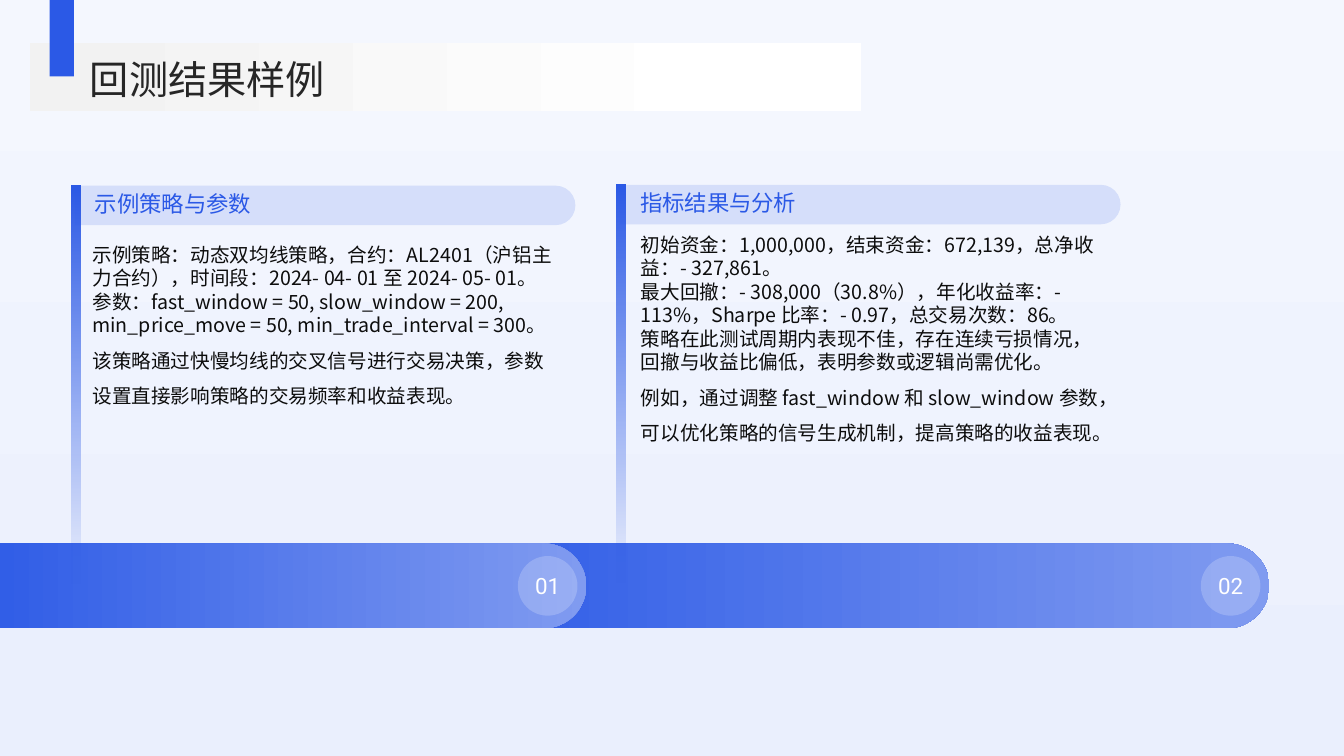
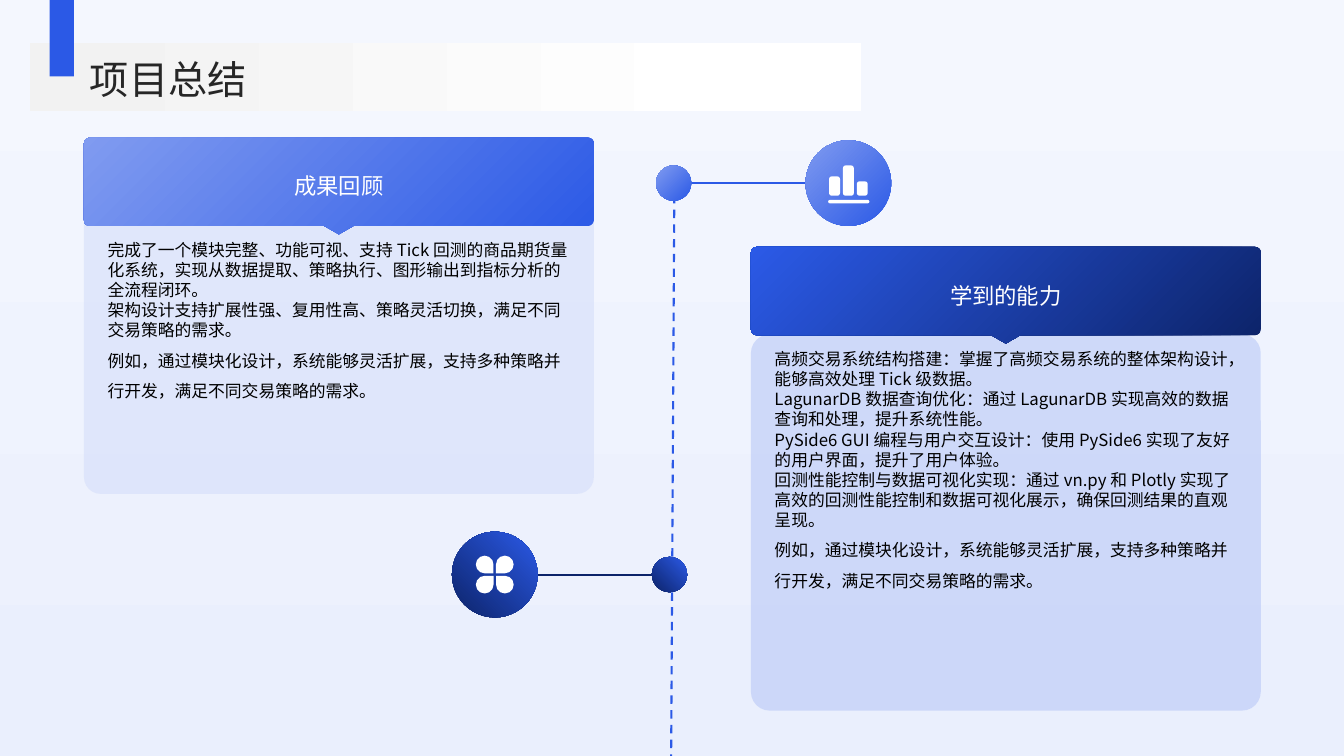
from dataclasses import dataclass
from math import cos, pi, sin

from pptx import Presentation
from pptx.dml.color import RGBColor
from pptx.enum.dml import MSO_LINE
from pptx.enum.shapes import MSO_CONNECTOR, MSO_SHAPE
from pptx.enum.text import MSO_ANCHOR, MSO_AUTO_SIZE, PP_ALIGN
from pptx.oxml.ns import qn
from pptx.oxml.xmlchemy import OxmlElement
from pptx.util import Emu, Pt

COLUMNS, ROWS = 160, 90
CELL = 76200
RECTANGLE, ROUNDED, OVAL = MSO_SHAPE.RECTANGLE, MSO_SHAPE.ROUNDED_RECTANGLE, MSO_SHAPE.OVAL
PILL, PETAL = MSO_SHAPE.ROUND_2_SAME_RECTANGLE, MSO_SHAPE.TEAR
STRAIGHT, DASH = MSO_CONNECTOR.STRAIGHT, MSO_LINE.DASH
LEFT, CENTER = PP_ALIGN.LEFT, PP_ALIGN.CENTER
TOP, MIDDLE = MSO_ANCHOR.TOP, MSO_ANCHOR.MIDDLE
NO_AUTOFIT = MSO_AUTO_SIZE.NONE
TITLE_ONLY = 5


@dataclass(frozen=True)
class Paint:
    """A solid colour, or a two-stop gradient when a last colour is given."""

    first: str
    last: str = ""
    angle: int = 0
    alphas: tuple = (100, 100)
    positions: tuple = (0, 1)

    def apply(self, fill):
        """Put the colours on a fill."""
        if not self.last:
            fill.solid()
            fill.fore_color.rgb = RGBColor.from_string(self.first)
            return
        fill.gradient()
        fill.gradient_angle = (360 - self.angle) % 360
        for stop, color, position in zip(fill.gradient_stops, (self.first, self.last), self.positions):
            stop.color.rgb = RGBColor.from_string(color)
            stop.position = position


@dataclass(frozen=True)
class TextStyle:
    """Type size, colour and setting of a text."""

    size: int
    color: str
    align: int = LEFT
    anchor: int = TOP
    spacing: float = 1.0
    font: str = "Noto Sans CJK SC"


class Theme:
    """Colours and type styles of the deck."""

    blue, navy, white = "2B59E6", "0C2369", "FFFFFF"
    background = Paint("EAEFFD", "F4F7FE", 270)
    accent = Paint(blue)
    icon = Paint(white)
    title_band = Paint("F2F2F2", "FFFFFF", positions=(0.05, 0.84))
    bar = Paint(blue, "809BF0")
    badge = Paint(white, alphas=(20,))
    pill = Paint("D5DEFA")
    stripe = Paint(blue, blue, 90, (100, 0))
    bright, bright_panel = Paint(blue, "809BF0", 225), Paint("D5DEFA", alphas=(60,))
    dark, dark_panel = Paint(navy, "2B5AE7", 225), Paint("B8C8F7", alphas=(60,))
    dark_node = Paint(navy, "2B5AE7", 315)
    title = TextStyle(28, "262626", anchor=MIDDLE, spacing=1.1)
    heading = TextStyle(16, blue)
    number = TextStyle(16, white, CENTER, MIDDLE, font="Roboto")
    card_heading = TextStyle(16, white, CENTER, MIDDLE, 1.3)
    body = TextStyle(14, "0D0D0D")
    card_body = TextStyle(12, "000000")
    closing_spacing = 1.5
    line_width = 1.5


def cells(*values):
    """Turn grid cells into lengths."""
    return [Emu(round(value * CELL)) for value in values]


class Deck:
    """Holds the presentation, its theme and the current slide."""

    def __init__(self, theme):
        self.theme = theme
        self.presentation = Presentation()
        self.presentation.slide_width, self.presentation.slide_height = cells(COLUMNS, ROWS)
        theme.background.apply(self.presentation.slide_master.background.fill)
        self.slide = None

    def add_slide(self, title):
        """Start a slide with the title band, the tab and the title."""
        self.slide = self.presentation.slides.add_slide(self.presentation.slide_layouts[TITLE_ONLY])
        self.shape(RECTANGLE, (3.6, 5.1, 98.9, 8.1), self.theme.title_band)
        self.shape(RECTANGLE, (5.9, 0, 2.9, 9.1), self.theme.accent)
        placeholder = self.slide.shapes.title
        placeholder.left, placeholder.top, placeholder.width, placeholder.height = cells(10.7, 6.1, 140.4, 6.1)
        self.set_text(placeholder, [title], self.theme.title)
        placeholder.element.getparent().append(placeholder.element)

    def finish(self, shape, paint):
        """Give a shape its fill, without line or shadow."""
        shape.shadow.inherit = False
        shape.line.fill.background()
        paint.apply(shape.fill)
        for color, alpha in zip(shape.element.xpath("./p:spPr//a:srgbClr"), paint.alphas):
            if alpha < 100:
                transparency = OxmlElement("a:alpha")
                transparency.set("val", str(alpha * 1000))
                color.append(transparency)
        return shape

    def shape(self, kind, box, paint, adjustments=(), rotation=0, group=None):
        """Add a preset shape, to a group if one is given."""
        shape = (group or self.slide).shapes.add_shape(kind, *cells(*box))
        for index, value in enumerate(adjustments):
            shape.adjustments[index] = value
        shape.rotation = rotation
        return self.finish(shape, paint)

    def circle(self, center, diameter, paint):
        """Add a circle around a centre."""
        x, y = center
        return self.shape(OVAL, (x - diameter / 2, y - diameter / 2, diameter, diameter), paint)

    def line(self, start, end, color, dash=None):
        """Add a straight line."""
        connector = self.slide.shapes.add_connector(STRAIGHT, *cells(*start, *end))
        connector.line.color.rgb = RGBColor.from_string(color)
        connector.line.width = Pt(self.theme.line_width)
        if dash:
            connector.line.dash_style = dash
        connector.element.find(qn("p:spPr")).append(OxmlElement("a:effectLst"))

    def set_text(self, shape, texts, style, closing_spacing=None):
        """Put paragraphs into a shape; the last one may be set wider."""
        frame = shape.text_frame
        frame.word_wrap = True
        frame.auto_size = NO_AUTOFIT
        frame.vertical_anchor = style.anchor
        frame.margin_left = frame.margin_top = frame.margin_right = frame.margin_bottom = 0
        for index, text in enumerate(texts):
            paragraph = frame.paragraphs[0] if index == 0 else frame.add_paragraph()
            paragraph.alignment = style.align
            paragraph.line_spacing = style.spacing
            run = paragraph.add_run()
            run.text = text
            run.font.size = Pt(style.size)
            run.font.name = style.font
            run.font.color.rgb = RGBColor.from_string(style.color)
        if closing_spacing:
            paragraph.line_spacing = closing_spacing
        for latin in shape.element.xpath(".//a:rPr/a:latin"):
            east_asian = OxmlElement("a:ea")
            east_asian.set("typeface", style.font)
            latin.addnext(east_asian)

    def text(self, box, texts, style, closing_spacing=None):
        """Add a text box."""
        self.set_text(self.slide.shapes.add_textbox(*cells(*box)), texts, style, closing_spacing)

    def timeline_bar(self, left, right, number):
        """Add a round-ended bar with a numbered badge at its end."""
        top, height = 64.7, 10.1
        self.shape(ROUNDED, (left, top, right - left, height), self.theme.bar, [0.5])
        badge = self.circle((right - 4.6, top + height / 2), 7.1, self.theme.badge)
        self.set_text(badge, [number], self.theme.number)

    def section(self, left, top, heading, body_at, texts):
        """Add a striped section with a pill heading and body text."""
        width, height = 59.6, 4.7
        pill_left = left + 0.4 + (width - height) / 2
        pill_top = top - (width - height) / 2
        self.shape(PILL, (pill_left, pill_top, height, width), self.theme.pill, [0.5, 0], 90)
        self.shape(RECTANGLE, (left, top, 1.1, 47.5), self.theme.stripe)
        self.text((left + 2.8, top + 0.5, 55.8, 3.6), [heading], self.theme.heading)
        self.text((*body_at, 55.8, 34.9), texts, self.theme.body, self.theme.closing_spacing)

    def pointed_header(self, left, top, width, paint):
        """Add a rounded header with a small pointer below."""
        height, radius, tip, half_tip = 10.5, 0.7, 1, 1.75
        right, bottom, middle = left + width, top + height, left + width / 2
        corners = [(right - radius, top + radius), (right - radius, bottom - radius),
                   (left + radius, bottom - radius), (left + radius, top + radius)]
        points = []
        for corner, (x, y) in enumerate(corners):
            angles = [(corner - 1 + step / 6) * pi / 2 for step in range(7)]
            points += [(x + radius * cos(angle), y + radius * sin(angle)) for angle in angles]
            if corner == 1:
                points += [(middle + half_tip, bottom), (middle, bottom + tip), (middle - half_tip, bottom)]
        start, *others = [cells(*point) for point in points]
        builder = self.slide.shapes.build_freeform(*start)
        builder.add_line_segments(others, close=True)
        self.finish(builder.convert_to_shape(), paint)

    def card(self, left, top, panel_top, bottom, paints, heading, texts):
        """Add a panel with a pointed header and body text."""
        width, inset = 60.7, 2.8
        header_paint, panel_paint = paints
        self.shape(ROUNDED, (left, panel_top, width, bottom - panel_top), panel_paint, [0.05])
        self.pointed_header(left, top, width, header_paint)
        text_left, text_width = left + inset, width - 2 * inset
        self.text((text_left, top + 1.1, text_width, 8.3), [heading], self.theme.card_heading)
        self.text((text_left, top + 12.1, text_width, bottom - top - 12.1), texts,
                  self.theme.card_body, self.theme.closing_spacing)

    def node(self, dot, disc, color, paint):
        """Join a dot on the axis to a large disc."""
        self.line(dot, disc, color)
        self.circle(dot, 4.2, paint)
        self.circle(disc, 10.2, paint)

    def chart_icon(self, center):
        """Add three columns on a base line."""
        x, y = center
        group = self.slide.shapes.add_group_shape()
        self.shape(ROUNDED, (x - 2.4, y + 2, 4.9, 0.4), self.theme.icon, [0.5], group=group)
        for index, height in enumerate((2.3, 3.6, 1.7)):
            box = (x - 2.3 + index * 1.65, y + 1.5 - height, 1.3, height)
            self.shape(ROUNDED, box, self.theme.icon, [0.25], group=group)

    def petal_icon(self, center):
        """Add four petals that point to the centre."""
        x, y = center
        size, offset = 2.1, 1.2
        group = self.slide.shapes.add_group_shape()
        for index, (across, down) in enumerate([(-1, 1), (-1, -1), (1, -1), (1, 1)]):
            box = (x + across * offset - size / 2, y + down * offset - size / 2, size, size)
            self.shape(PETAL, box, self.theme.icon, rotation=index * 90, group=group)


def add_results(deck):
    """Build the slide with the back-test results."""
    deck.add_slide("回测结果样例")
    deck.timeline_bar(51.6, 151.1, "02")
    deck.timeline_bar(-5.3, 69.8, "01")
    deck.section(8.5, 22.1, "示例策略与参数", (11, 28.9), [
        "示例策略：动态双均线策略，合约：AL2401（沪铝主力合约），时间段：2024- 04- 01 至 2024- 05- 01。",
        "参数：fast_window = 50, slow_window = 200, min_price_move = 50, min_trade_interval = 300。",
        "该策略通过快慢均线的交叉信号进行交易决策，参数设置直接影响策略的交易频率和收益表现。",
    ])
    deck.section(73.4, 22, "指标结果与分析", (76.3, 27.7), [
        "初始资金：1,000,000，结束资金：672,139，总净收益：- 327,861。",
        "最大回撤：- 308,000（30.8%），年化收益率：- 113%，Sharpe 比率：- 0.97，总交易次数：86。",
        "策略在此测试周期内表现不佳，存在连续亏损情况，回撤与收益比偏低，表明参数或逻辑尚需优化。",
        "例如，通过调整 fast_window 和 slow_window 参数，可以优化策略的信号生成机制，提高策略的收益表现。",
    ])


def add_summary(deck):
    """Build the slide with the project summary."""
    theme = deck.theme
    chart_center, petal_center = (101, 21.8), (58.9, 68.4)
    closing = "例如，通过模块化设计，系统能够灵活扩展，支持多种策略并行开发，满足不同交易策略的需求。"
    deck.add_slide("项目总结")
    deck.line((80.3, 19.7), (79.9, ROWS), theme.blue, DASH)
    deck.node((80.2, 21.8), chart_center, theme.blue, theme.bright)
    deck.chart_icon(chart_center)
    deck.node((79.7, 68.4), petal_center, theme.navy, theme.dark_node)
    deck.petal_icon(petal_center)
    deck.card(10, 16.4, 19, 58.8, (theme.bright, theme.bright_panel), "成果回顾", [
        "完成了一个模块完整、功能可视、支持 Tick 回测的商品期货量化系统，实现从数据提取、策略执行、图形输出到指标分析的全流程闭环。",
        "架构设计支持扩展性强、复用性高、策略灵活切换，满足不同交易策略的需求。",
        closing,
    ])
    deck.card(89.4, 29.4, 39.8, 84.6, (theme.dark, theme.dark_panel), "学到的能力", [
        "高频交易系统结构搭建：掌握了高频交易系统的整体架构设计，能够高效处理 Tick 级数据。",
        "LagunarDB 数据查询优化：通过 LagunarDB 实现高效的数据查询和处理，提升系统性能。",
        "PySide6 GUI 编程与用户交互设计：使用 PySide6 实现了友好的用户界面，提升了用户体验。",
        "回测性能控制与数据可视化实现：通过 vn.py 和 Plotly 实现了高效的回测性能控制和数据可视化展示，确保回测结果的直观呈现。",
        closing,
    ])


def main():
    """Build and save the deck."""
    deck = Deck(Theme())
    add_results(deck)
    add_summary(deck)
    deck.presentation.save("out.pptx")


if __name__ == "__main__":
    main()
